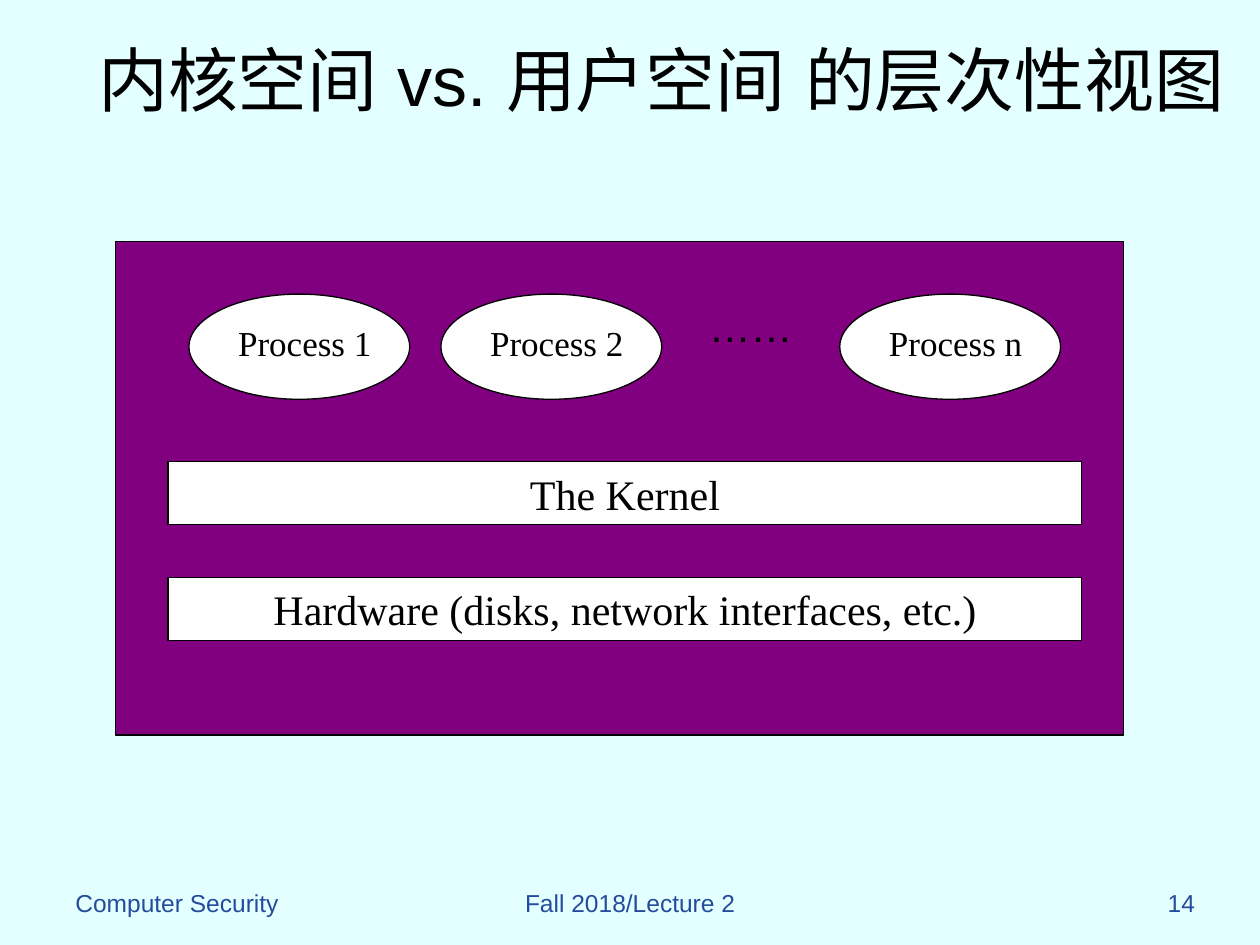
from lxml import etree
from pptx import Presentation
from pptx.dml.color import RGBColor
from pptx.enum import shapes, text
from pptx.oxml import ns
from pptx.util import Cm, Pt

COLORS = {
    "background": "E3FFFF",
    "footer": "254C9C",
    "system": "800080",
    "box": "FFFFFF",
    "ink": "000000",
}
SANS, SERIF = "Arial", "Times New Roman"
LEFT, CENTER, RIGHT = text.PP_ALIGN.LEFT, text.PP_ALIGN.CENTER, text.PP_ALIGN.RIGHT
TOP, MIDDLE = text.MSO_ANCHOR.TOP, text.MSO_ANCHOR.MIDDLE
RECT, OVAL = shapes.MSO_SHAPE.RECTANGLE, shapes.MSO_SHAPE.OVAL


def rgb(name):
    return RGBColor.from_string(COLORS[name])


def write(sp, words, size, font, color="ink", align=CENTER, anchor=TOP):
    tf = sp.text_frame
    tf.word_wrap = True
    tf.vertical_anchor = anchor
    p = tf.paragraphs[0]
    p.text = words
    p.alignment = align
    p.font.size = Pt(size)
    p.font.name = font
    p.font.color.rgb = rgb(color)
    # East Asian characters take the same font as the Latin ones.
    r_pr = p.font._element
    etree.SubElement(r_pr, ns.qn("a:ea")).set("typeface", font)


def add_label(s, box, words, size, font, **style):
    """Add a text box; box is left, top, width, height in centimetres."""
    sp = s.shapes.add_textbox(*map(Cm, box))
    write(sp, words, size, font, **style)


def add_outlined(s, kind, box, fill="box"):
    """Add a filled shape with a thin black outline."""
    sp = s.shapes.add_shape(kind, *map(Cm, box))
    sp.shadow.inherit = False
    sp.fill.solid()
    sp.fill.fore_color.rgb = rgb(fill)
    sp.line.color.rgb = rgb("ink")
    sp.line.width = Pt(0.75)
    return sp


def add_layer(s, top, words):
    sp = add_outlined(s, RECT, (3.39, top, 18.42, 1.27))
    write(sp, words, 24, SERIF)


def add_process(s, left, words):
    add_outlined(s, OVAL, (left, 5.93, 4.45, 2.12))
    add_label(s, (left + 0.64, 6.35, 3.39, 1.11), words, 20, SERIF)


def add_footer(s, left, width, words, align):
    add_label(s, (left, 17.78, width, 1.27), words, 14, SANS,
              color="footer", align=align)


def main():
    prs = Presentation()
    prs.slide_width, prs.slide_height = Cm(25.4), Cm(19.05)
    s = prs.slides.add_slide(prs.slide_layouts[6])
    s.background.fill.solid()
    s.background.fill.fore_color.rgb = rgb("background")

    add_footer(s, 1.27, 5.29, "Computer Security", LEFT)
    add_footer(s, 8.68, 8.05, "Fall 2018/Lecture 2", CENTER)
    add_footer(s, 19.05, 5.29, "14", RIGHT)
    add_label(s, (1.27, 0, 24.13, 3.18), "内核空间 vs. 用户空间 的层次性视图",
              40, SANS, anchor=MIDDLE)

    add_outlined(s, RECT, (2.33, 4.87, 20.32, 9.95), fill="system")
    add_layer(s, 11.64, "Hardware (disks, network interfaces, etc.)")
    add_layer(s, 9.31, "The Kernel")
    for left, words in ((3.81, "Process 1"), (8.89, "Process 2"), (16.93, "Process n")):
        add_process(s, left, words)
    add_label(s, (13.97, 5.93, 2.33, 1.27), "……", 24, SANS)

    prs.save("out.pptx")


if __name__ == "__main__":
    main()
